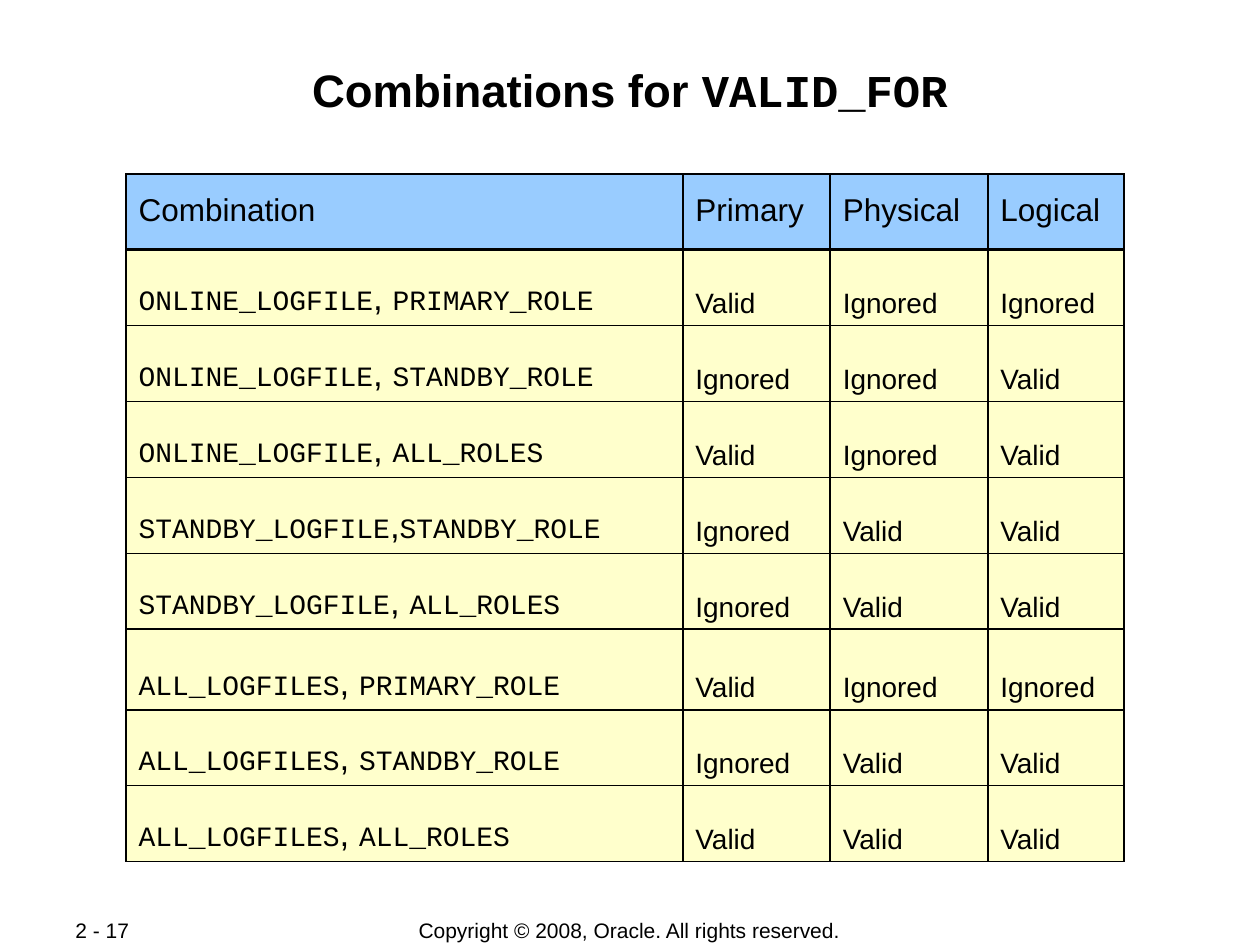
from dataclasses import dataclass

from lxml import etree
from pptx import Presentation
from pptx import util as u
from pptx.dml.color import RGBColor
from pptx.enum import text
from pptx.oxml import ns


@dataclass(frozen=True)
class Theme:
    ink: str = "000000"
    header_fill: str = "99CCFF"
    body_fill: str = "FFFFCC"
    sans: str = "Arial"
    mono: str = "Courier New"
    title_size: int = 26
    header_size: int = 18
    body_size: int = 16
    comma_size: int = 20
    footer_size: int = 12
    thin: float = 1.08
    thick: float = 2.21


THEME = Theme()
HEADERS = ("Combination", "Primary", "Physical", "Logical")
# Log files, separator, role, then the validity for each kind of database.
COMBINATIONS = (
    ("ONLINE_LOGFILE", ", ", "PRIMARY_ROLE", "Valid", "Ignored", "Ignored"),
    ("ONLINE_LOGFILE", ", ", "STANDBY_ROLE", "Ignored", "Ignored", "Valid"),
    ("ONLINE_LOGFILE", ", ", "ALL_ROLES", "Valid", "Ignored", "Valid"),
    ("STANDBY_LOGFILE", ",", "STANDBY_ROLE", "Ignored", "Valid", "Valid"),
    ("STANDBY_LOGFILE", ", ", "ALL_ROLES", "Ignored", "Valid", "Valid"),
    ("ALL_LOGFILES", ", ", "PRIMARY_ROLE", "Valid", "Ignored", "Ignored"),
    ("ALL_LOGFILES", ", ", "STANDBY_ROLE", "Ignored", "Valid", "Valid"),
    ("ALL_LOGFILES", ", ", "ALL_ROLES", "Valid", "Valid", "Valid"),
)
COLUMN_SHARES = (4.42, 1.17, 1.25, 1.08)
ROW_SHARES = (1, 1, 1, 1, 1, 1, 1.06, 1, 1)


def percent_box(deck, left, top, width, height):
    """Turn percentages of the slide's size into a box."""
    across, down = deck.slide_width / 100, deck.slide_height / 100
    return (u.Emu(round(left * across)), u.Emu(round(top * down)),
            u.Emu(round(width * across)), u.Emu(round(height * down)))


def add_span(para, words, font=THEME.sans, size=THEME.body_size, bold=False):
    span = para.add_run()
    span.text = words
    span.font.name = font
    span.font.size = u.Pt(size)
    span.font.bold = bold
    span.font.color.rgb = RGBColor.from_string(THEME.ink)


def share_out(parts, shares, total, side):
    """Divide a length among table columns or rows."""
    for part, share in zip(parts, shares):
        setattr(part, side, u.Emu(round(total * share / sum(shares))))


def set_borders(cell, top, bottom):
    properties = cell._tc.get_or_add_tcPr()
    widths = {"lnL": THEME.thin, "lnR": THEME.thin, "lnT": top, "lnB": bottom}
    for index, (side, width) in enumerate(widths.items()):
        line = etree.Element(ns.qn(f"a:{side}"), w=str(u.Pt(width)))
        fill = etree.SubElement(line, ns.qn("a:solidFill"))
        etree.SubElement(fill, ns.qn("a:srgbClr"), val=THEME.ink)
        properties.insert(index, line)


def format_cell(cell, fill, anchor, top, bottom):
    """Style a cell and return its paragraph."""
    cell.fill.solid()
    cell.fill.fore_color.rgb = RGBColor.from_string(fill)
    cell.vertical_anchor = anchor
    set_borders(cell, top, bottom)
    para = cell.text_frame.paragraphs[0]
    para.line_spacing = 1.35
    return para


def place_title(page, box):
    title = page.shapes.title
    title.left, title.top, title.width, title.height = box
    frame = title.text_frame
    frame.auto_size = text.MSO_AUTO_SIZE.NONE
    frame.vertical_anchor = text.MSO_ANCHOR.TOP
    frame.margin_left = frame.margin_right = u.Inches(0.01)
    frame.margin_top = frame.margin_bottom = u.Inches(0.01)
    para = frame.paragraphs[0]
    para.alignment = text.PP_ALIGN.CENTER
    for words, font in (("Combinations for ", THEME.sans), ("VALID_FOR", THEME.mono)):
        add_span(para, words, font=font, size=THEME.title_size, bold=True)


def place_table(page, box):
    table = page.shapes.add_table(len(ROW_SHARES), len(COLUMN_SHARES), *box).table
    table.first_row = table.horz_banding = False
    share_out(table.columns, COLUMN_SHARES, box[2], "width")
    share_out(table.rows, ROW_SHARES, box[3], "height")

    for column, words in enumerate(HEADERS):
        para = format_cell(table.cell(0, column), THEME.header_fill,
                           text.MSO_ANCHOR.TOP, THEME.thin, THEME.thick)
        add_span(para, words, size=THEME.header_size)

    for row, (files, comma, role, *validity) in enumerate(COMBINATIONS, 1):
        top = THEME.thick if row == 1 else THEME.thin
        paras = [format_cell(table.cell(row, column), THEME.body_fill,
                             text.MSO_ANCHOR.BOTTOM, top, THEME.thin)
                 for column in range(len(HEADERS))]
        add_span(paras[0], files, font=THEME.mono)
        add_span(paras[0], comma, size=THEME.comma_size)
        add_span(paras[0], role, font=THEME.mono)
        for para, words in zip(paras[1:], validity):
            add_span(para, words)


def place_footer(page, box, words, alignment):
    frame = page.shapes.add_textbox(*box).text_frame
    frame.word_wrap = True
    frame.vertical_anchor = text.MSO_ANCHOR.MIDDLE
    para = frame.paragraphs[0]
    para.alignment = alignment
    add_span(para, words, size=THEME.footer_size)


def main():
    deck = Presentation()
    deck.slide_width, deck.slide_height = u.Inches(10), u.Inches(7.5)
    page = deck.slides.add_slide(deck.slide_layouts[5])
    place_footer(page, percent_box(deck, 27.5, 97.07, 44.9, 2.8),
                 "Copyright © 2008, Oracle. All rights reserved.",
                 text.PP_ALIGN.CENTER)
    place_footer(page, percent_box(deck, 5, 97.07, 10.6, 2.67),
                 "2 - 17", text.PP_ALIGN.JUSTIFY)
    place_title(page, percent_box(deck, 6.7, 6.4, 86.6, 12.8))
    place_table(page, percent_box(deck, 10, 18.4, 79.2, 72.8))
    deck.save("out.pptx")


if __name__ == "__main__":
    main()
